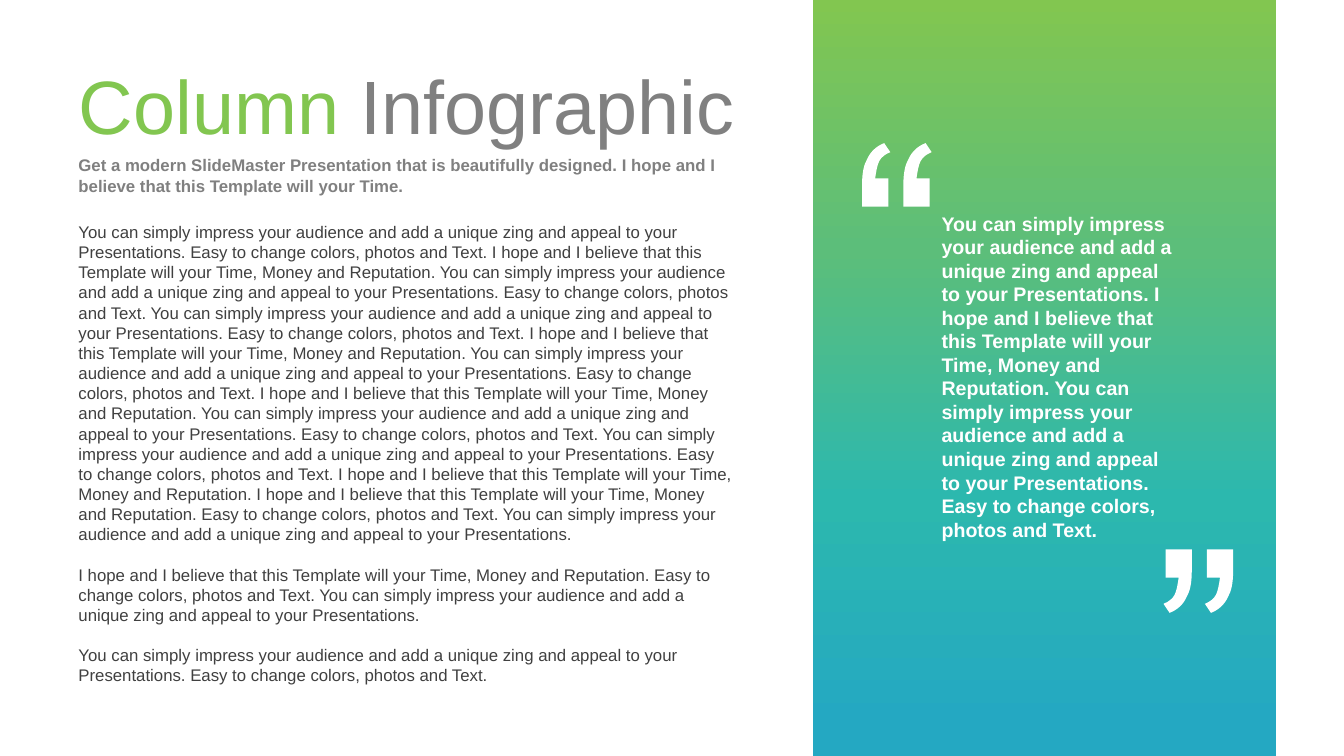
from lxml.etree import SubElement
from pptx import Presentation
from pptx.dml.color import RGBColor
from pptx.enum.shapes import MSO_SHAPE
from pptx.enum.text import MSO_ANCHOR, PP_ALIGN
from pptx.oxml.ns import qn
from pptx.util import Inches, Pt

COLORS = {
    "green": "82C650",
    "mid_green": "5CBE7A",
    "teal": "2CB8AE",
    "blue": "24A8C2",
    "gray": "808080",
    "dark": "404040",
    "white": "FFFFFF",
}

IMPRESS = ("You can simply impress your audience and add a unique zing "
           "and appeal to your Presentations.")
EASY = "Easy to change colors, photos and Text."
HOPE = "I hope and I believe that this Template will your Time, Money and Reputation."


def write(frame, paragraphs, size, bold=False):
    frame.word_wrap = True
    for index, runs in enumerate(paragraphs):
        paragraph = frame.paragraphs[0] if index == 0 else frame.add_paragraph()
        paragraph.alignment = PP_ALIGN.LEFT
        if index:
            paragraph.space_before = Pt(size * 1.2)
        for text, color in runs:
            run = paragraph.add_run()
            run.text = text
            run.font.name = "Arial"
            run.font.size = Pt(size)
            run.font.bold = bold
            run.font.color.rgb = RGBColor.from_string(COLORS[color])


def round_corners(freeform, curve_starts, points_per_outline):
    segments = list(freeform._element.iter(qn("a:lnTo")))
    for offset in range(0, len(segments), points_per_outline):
        for start in curve_starts:
            controls = segments[offset + start:offset + start + 3]
            bezier = controls[0].makeelement(qn("a:cubicBezTo"))
            controls[0].addprevious(bezier)
            for control in controls:
                bezier.append(control[0])
                control.getparent().remove(control)


prs = Presentation()
prs.slide_width = Inches(13.33)
prs.slide_height = Inches(7.5)
slide = prs.slides.add_slide(prs.slide_layouts[5])
shapes = slide.shapes

panel = shapes.add_shape(MSO_SHAPE.RECTANGLE, Inches(8.06), 0, Inches(4.6), Inches(7.5))
panel.shadow.inherit = False
panel.line.fill.background()
panel.fill.gradient()
panel.fill.gradient_angle = 270
stops = panel._element.spPr.find(qn("a:gradFill")).find(qn("a:gsLst"))
for stop in list(stops):
    stops.remove(stop)
for percent, color in ((0, "green"), (33, "mid_green"), (66, "teal"), (96, "blue")):
    stop = SubElement(stops, qn("a:gs"), pos=str(percent * 1000))
    SubElement(stop, qn("a:srgbClr"), val=COLORS[color])

mark = [
    (0.22, 0), (0.28, 0.09),
    (0.23, 0.11), (0.19, 0.14), (0.17, 0.18),
    (0.15, 0.22), (0.14, 0.28), (0.13, 0.35),
    (0.26, 0.35), (0.26, 0.63), (0, 0.63), (0, 0.41),
    (0, 0.29), (0.02, 0.21), (0.05, 0.16),
    (0.08, 0.09), (0.14, 0.03), (0.22, 0),
]
for left, top, rotation in ((8.55, 1.42, 0), (11.54, 5.45, 180)):
    first, second = [[(Inches(left + shift + x), Inches(top + y)) for x, y in mark]
                     for shift in (0, 0.41)]
    builder = shapes.build_freeform(*first[0])
    builder.add_line_segments(first[1:], close=True)
    builder.move_to(*second[0])
    builder.add_line_segments(second[1:], close=True)
    quote_mark = builder.convert_to_shape()
    round_corners(quote_mark, (1, 4, 11, 14), len(mark) - 1)
    quote_mark.rotation = rotation
    quote_mark.shadow.inherit = False
    quote_mark.fill.solid()
    quote_mark.fill.fore_color.rgb = RGBColor.from_string(COLORS["white"])
    quote_mark.line.fill.background()

title = shapes.title
title.left, title.top = Inches(0.68), Inches(0.53)
title.width, title.height = Inches(6.7), Inches(1.01)
title.text_frame.vertical_anchor = MSO_ANCHOR.MIDDLE
title.text_frame.margin_right = 0
write(title.text_frame, [[("Column ", "green"), ("Infographic", "gray")]], 54)

subtitle = ("Get a modern SlideMaster Presentation that is beautifully designed. "
            "I hope and I believe that this Template will your Time.")
story = " ".join([
    IMPRESS, EASY, HOPE, IMPRESS, EASY,
    IMPRESS, EASY, HOPE, IMPRESS, EASY, HOPE, IMPRESS, EASY,
    IMPRESS, EASY, HOPE, HOPE, EASY, IMPRESS,
])
body = [story, " ".join([HOPE, EASY, IMPRESS]), " ".join([IMPRESS, EASY])]
quote = " ".join([IMPRESS, HOPE, IMPRESS, EASY])

for left, top, width, height, texts, color, size, bold in (
    (9.24, 2.05, 2.55, 3.4, [quote], "white", 14, True),
    (0.68, 1.49, 6.7, 0.5, [subtitle], "gray", 12, True),
    (0.68, 2.15, 6.7, 4.75, body, "dark", 12, False),
):
    box = shapes.add_textbox(Inches(left), Inches(top), Inches(width), Inches(height))
    write(box.text_frame, [[(text, color)] for text in texts], size, bold)

prs.save("out.pptx")
